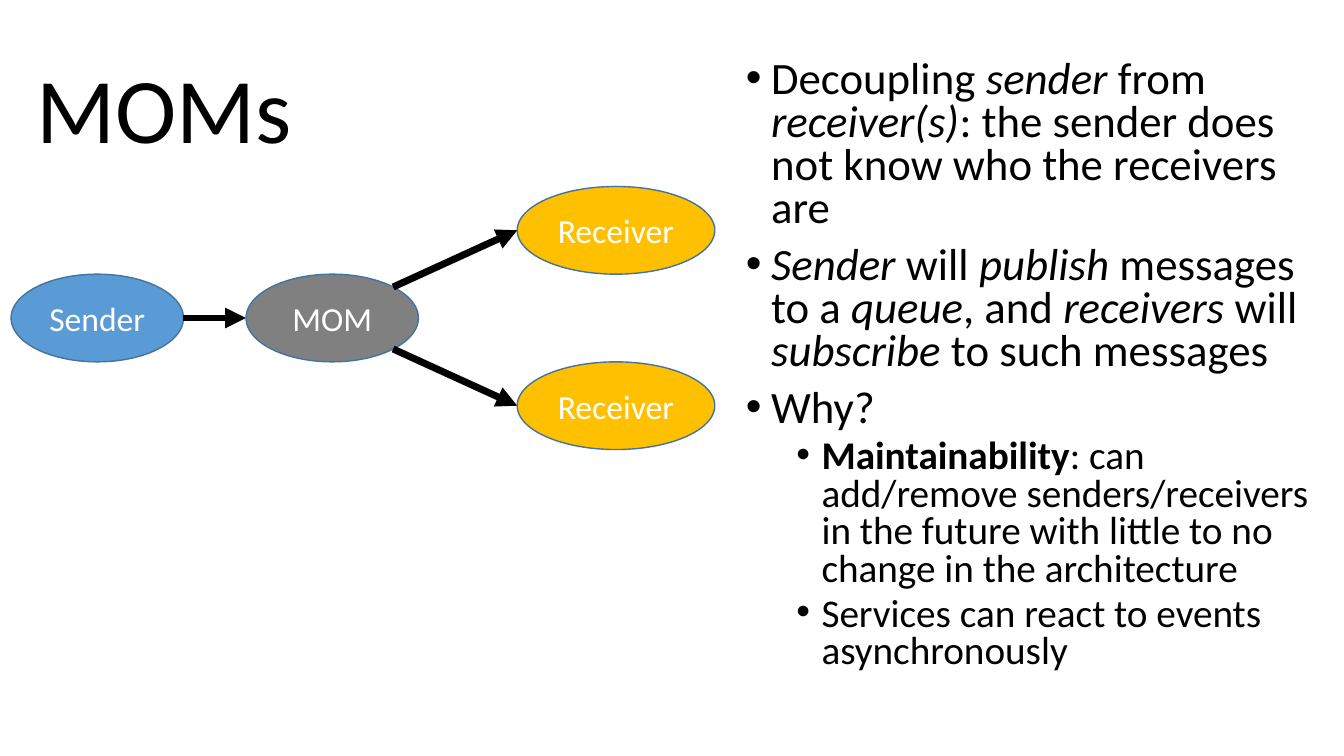
import math
from dataclasses import dataclass

from lxml import etree
from pptx import Presentation
from pptx import util as u
from pptx.dml.color import RGBColor
from pptx.enum import shapes, text
from pptx.oxml import ns


@dataclass(frozen=True)
class Theme:
    """Colours, font and type sizes of the slide."""
    font: str = "Calibri"
    ink: str = "000000"
    paper: str = "FFFFFF"
    sender: str = "5B9BD5"
    mom: str = "808080"
    receiver: str = "FFC000"
    outline: str = "43739E"
    title_size: int = 66
    node_size: int = 24
    body_sizes: tuple = (32, 28)
    space_before: tuple = (10, 5)


THEME = Theme()
NODE_H = 0.87

# Each bullet: level, then runs of (text, style)
BULLETS = [
    (0, [("Decoupling ", ""), ("sender ", "i"), ("from ", ""), ("receiver(s)", "i"),
         (": the sender does not know who the receivers are", "")]),
    (0, [("Sender", "i"), (" will ", ""), ("publish", "i"), (" messages to a ", ""),
         ("queue", "i"), (", and ", ""), ("receivers", "i"), (" will ", ""),
         ("subscribe", "i"), (" to such messages", "")]),
    (0, [("Why?", "")]),
    (1, [("Maintainability", "b"),
         (": can add/remove senders/receivers in the future with little to no "
          "change in the architecture", "")]),
    (1, [("Services can react to events asynchronously", "")]),
]


def add_run(p, content, size, color=THEME.ink, bold=False, italic=False):
    """Append a formatted run to a paragraph."""
    r = p.add_run()
    r.text = content
    r.font.name = THEME.font
    r.font.size = u.Pt(size)
    r.font.bold = bold
    r.font.italic = italic
    r.font.color.rgb = RGBColor.from_string(color)
    return r


def set_title(slide, content):
    """Place and format the title placeholder."""
    sp = slide.shapes.title
    sp.left, sp.top = u.Inches(0.26), u.Inches(0.4)
    sp.width, sp.height = u.Inches(12.86), u.Inches(1.45)
    tf = sp.text_frame
    tf.vertical_anchor = text.MSO_ANCHOR.MIDDLE
    tf.auto_size = text.MSO_AUTO_SIZE.NONE
    p = tf.paragraphs[0]
    p.alignment = text.PP_ALIGN.LEFT
    p.line_spacing = 0.9
    add_run(p, content, THEME.title_size)


def set_bullet(p, level):
    """Give a paragraph a hanging round bullet."""
    p.level = level
    pPr = p._p.get_or_add_pPr()
    pPr.set("marL", str(u.Inches(0.25 + 0.5 * level)))
    pPr.set("indent", str(u.Inches(-0.25)))
    etree.SubElement(pPr, ns.qn("a:buFont"), typeface="Arial")
    etree.SubElement(pPr, ns.qn("a:buChar"), char="•")


def add_bullets(slide, left, top, width, height, bullets):
    """Add a text box holding the bulleted list."""
    sp = slide.shapes.add_textbox(*map(u.Inches, (left, top, width, height)))
    tf = sp.text_frame
    tf.word_wrap = True
    for i, (level, runs) in enumerate(bullets):
        p = tf.add_paragraph() if i else tf.paragraphs[0]
        p.line_spacing = 0.8
        p.space_before = u.Pt(THEME.space_before[level])
        set_bullet(p, level)
        for content, style in runs:
            add_run(p, content, THEME.body_sizes[level],
                    bold=style == "b", italic=style == "i")


def add_node(slide, label, left, top, width, fill):
    """Add a labelled ellipse."""
    sp = slide.shapes.add_shape(shapes.MSO_SHAPE.OVAL,
                                *map(u.Inches, (left, top, width, NODE_H)))
    sp.shadow.inherit = False
    sp.fill.solid()
    sp.fill.fore_color.rgb = RGBColor.from_string(fill)
    sp.line.color.rgb = RGBColor.from_string(THEME.outline)
    sp.line.width = u.Pt(1)
    tf = sp.text_frame
    tf.vertical_anchor = text.MSO_ANCHOR.MIDDLE
    p = tf.paragraphs[0]
    p.alignment = text.PP_ALIGN.CENTER
    add_run(p, label, THEME.node_size, color=THEME.paper)
    return sp


def rim(sp, degrees):
    """Return the point on an ellipse at an angle, clockwise from the right."""
    a = math.radians(degrees)
    return (round(sp.left + sp.width / 2 * (1 + math.cos(a))),
            round(sp.top + sp.height / 2 * (1 + math.sin(a))))


def add_arrow(slide, source, target, degrees=0):
    """Join a point on the source's rim to the target's left end."""
    cxn = slide.shapes.add_connector(shapes.MSO_CONNECTOR.STRAIGHT,
                                     *rim(source, degrees), *rim(target, 180))
    cxn.line.color.rgb = RGBColor.from_string(THEME.ink)
    cxn.line.width = u.Pt(5)
    etree.SubElement(cxn.line._get_or_add_ln(), ns.qn("a:tailEnd"), type="triangle")
    etree.SubElement(cxn._element.spPr, ns.qn("a:effectLst"))


def main():
    """Build the slide and save it."""
    prs = Presentation()
    prs.slide_width, prs.slide_height = u.Inches(13.33), u.Inches(7.5)
    slide = prs.slides.add_slide(prs.slide_layouts[5])
    set_title(slide, "MOMs")
    add_bullets(slide, 7.3, 0.55, 5.83, 6.8, BULLETS)

    mid = 2.72
    sender = add_node(slide, "Sender", 0.11, mid, 1.71, THEME.sender)
    mom = add_node(slide, "MOM", 2.44, mid, 1.71, THEME.mom)
    add_arrow(slide, sender, mom)
    for side in (-1, 1):
        receiver = add_node(slide, "Receiver", 5.13, mid + side * NODE_H, 1.96,
                            THEME.receiver)
        add_arrow(slide, mom, receiver, degrees=side * 45)
    prs.save("out.pptx")


main()
